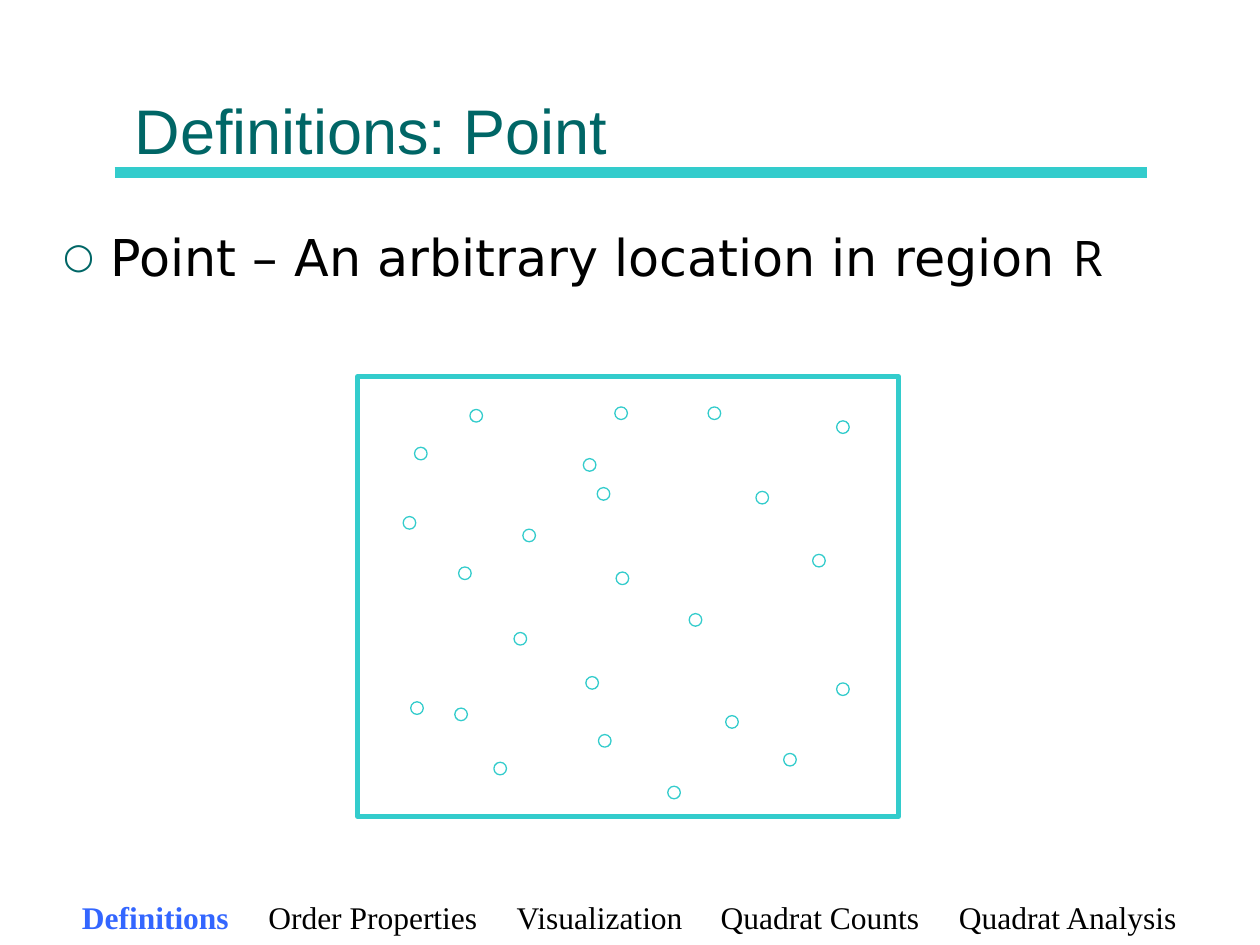
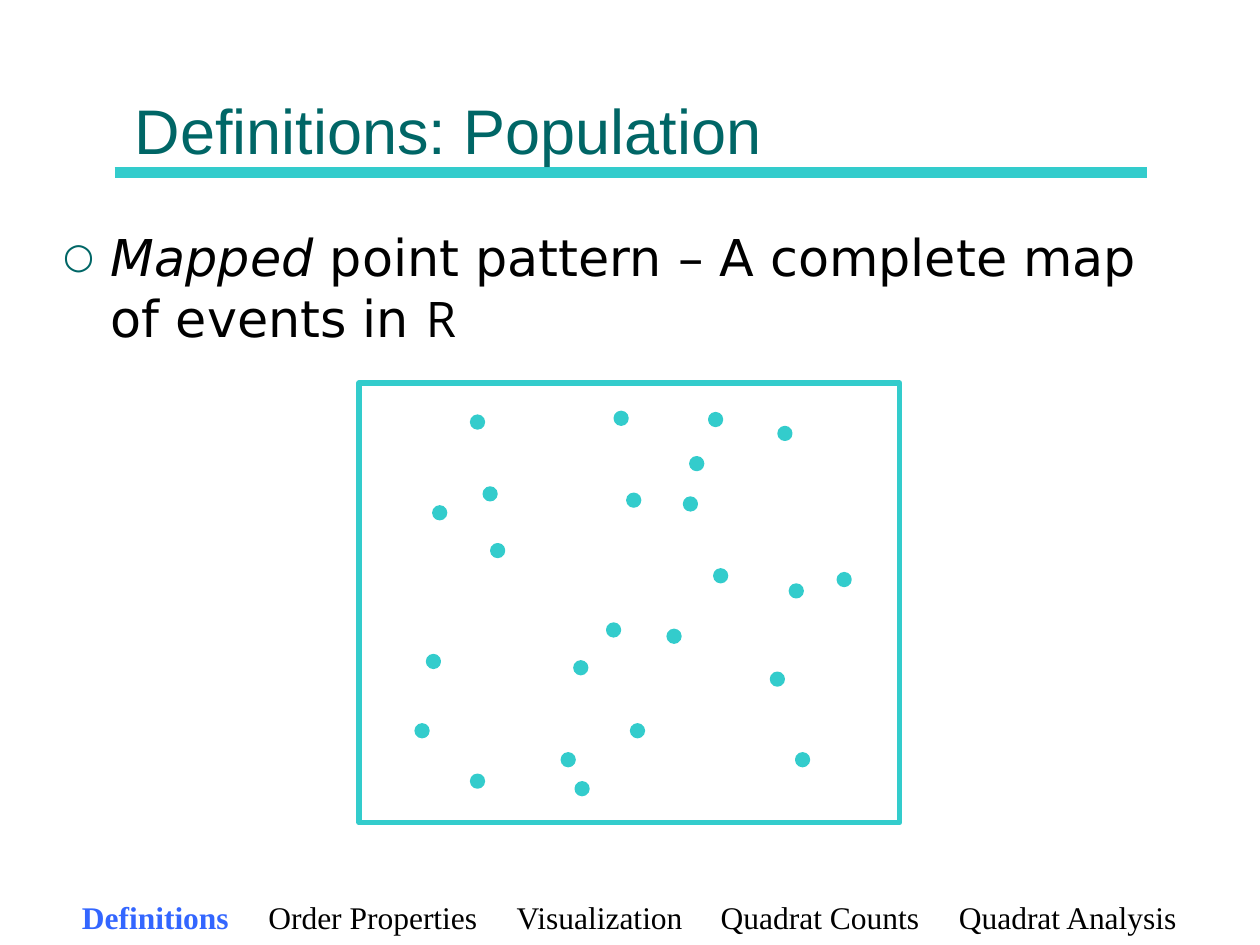
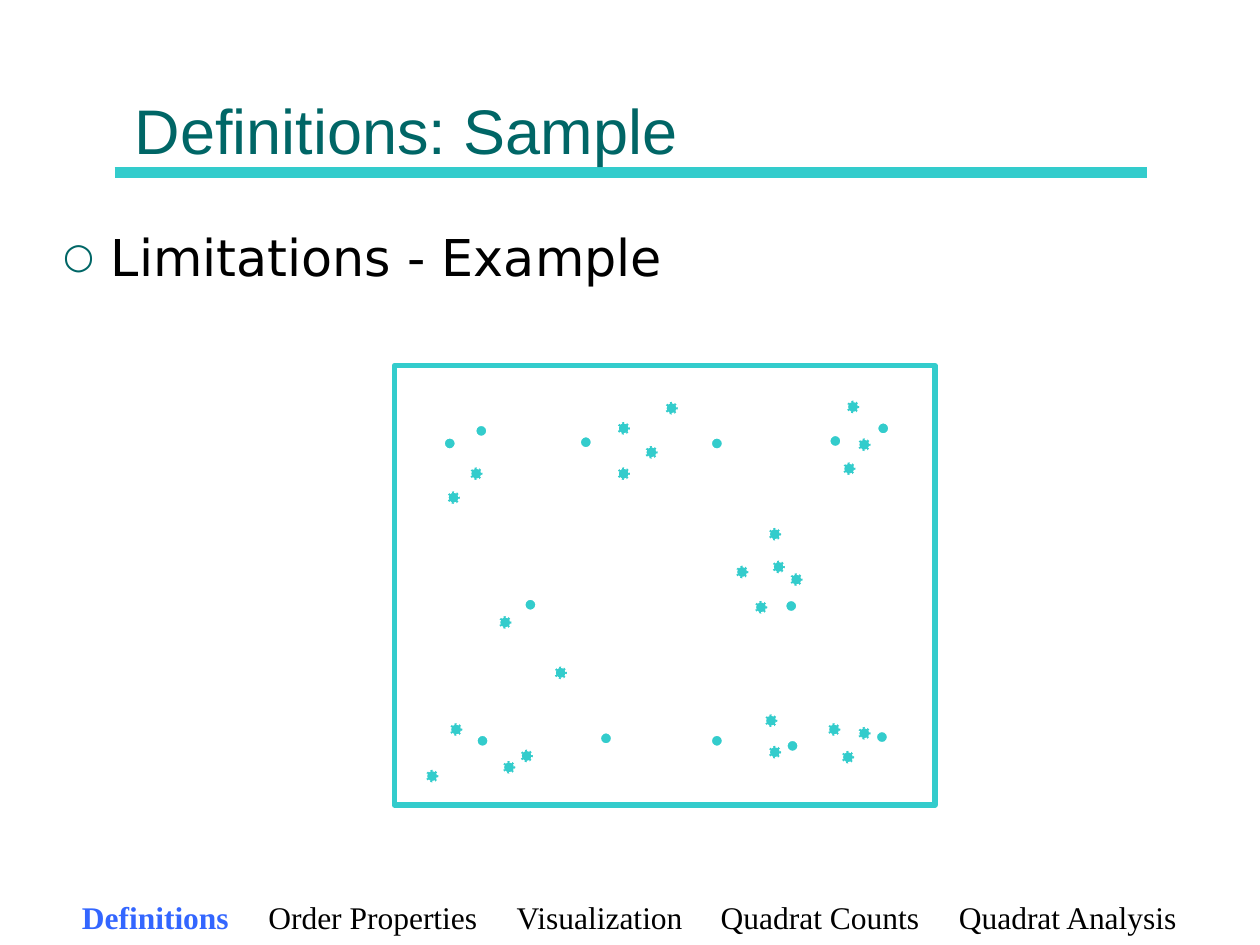
from dataclasses import dataclass

from lxml import etree
from pptx import Presentation
from pptx.dml.color import RGBColor
from pptx.enum.dml import MSO_LINE
from pptx.enum.shapes import MSO_CONNECTOR, MSO_SHAPE
from pptx.enum.text import MSO_ANCHOR, MSO_AUTO_SIZE, PP_ALIGN
from pptx.oxml.ns import qn
from pptx.util import Pt

PX = 9144  # 100 px to the inch
STRAIGHT = MSO_CONNECTOR.STRAIGHT
RECTANGLE, OVAL = MSO_SHAPE.RECTANGLE, MSO_SHAPE.OVAL
DOTTED = MSO_LINE.ROUND_DOT
TOP, BOTTOM = MSO_ANCHOR.TOP, MSO_ANCHOR.BOTTOM
LEFT = PP_ALIGN.LEFT
FIXED = MSO_AUTO_SIZE.NONE


@dataclass(frozen=True)
class Theme:
    accent: str = "33CCCC"
    title: str = "006666"
    text: str = "000000"
    paper: str = "FFFFFF"
    current: str = "3366FF"
    title_font: str = "Arial"
    body_font: str = "DejaVu Sans"
    region_font: str = "Open Sans"
    footer_font: str = "Times New Roman"
    title_size: int = 36
    body_size: int = 29
    region_size: int = 28
    footer_size: int = 18
    bullet_percent: int = 70


THEME = Theme()

SLIDE_SIZE = (1000, 750)
TITLE_BOX = (100, 12, 800, 125)
BODY_BOX = (42, 171, 913, 450)
FOOTER_BOX = (40, 708, 919, 70)
RULE = (91, 137, 910, 137)
FRAME_SIZE = (429, 349)
MARK_SIZE = 10
BODY_INDENT = 38

SECTIONS = ["Definitions", "Order Properties", "Visualization", "Quadrat Counts", "Quadrat Analysis"]
SECTION_TABS = [148, 345, 507, 696]

REGION = ("R", {"font": THEME.region_font, "size": THEME.region_size})

OPEN_MARK = {"line": THEME.accent, "width": 0.75}
EVENT_MARK = {"fill": THEME.accent, "line": THEME.accent, "width": 1.5}
SAMPLED_MARK = {"fill": THEME.accent, "line": THEME.paper, "width": 1.5}
MISSED_MARK = {**SAMPLED_MARK, "dash": DOTTED}

# Mark positions are offsets from the corner of the frame.
LOCATIONS = [
    (190, 88), (204, 24), (89, 26), (380, 35), (179, 65), (181, 238), (338, 299), (316, 91),
    (131, 121), (45, 56), (205, 155), (36, 111), (246, 325), (278, 24), (124, 203), (292, 269),
    (263, 188), (191, 284), (380, 243), (361, 141), (80, 151), (108, 306), (77, 263), (42, 258),
]
EVENTS = [
    (172, 317), (203, 23), (89, 26), (380, 151), (161, 294), (333, 35), (105, 128), (171, 221),
    (258, 91), (54, 216), (99, 83), (45, 271), (245, 196), (278, 24), (213, 88), (59, 98),
    (263, 59), (342, 160), (347, 294), (216, 271), (89, 311), (197, 191), (327, 230), (282, 148),
]
SAMPLED = [
    (147, 56), (64, 47), (383, 45), (310, 186), (251, 57), (103, 185), (39, 57),
    (345, 55), (65, 293), (311, 297), (382, 290), (163, 291), (251, 293),
]
MISSED = [
    (314, 165), (60, 81), (271, 159), (177, 81), (83, 199), (300, 155), (215, 29), (177, 45),
    (42, 100), (199, 64), (359, 28), (286, 187), (127, 239), (297, 129), (356, 77), (368, 58),
    (86, 314), (44, 284), (100, 305), (25, 321), (297, 302), (344, 284), (294, 277), (355, 306),
    (368, 287),
]

SLIDES = [
    {
        "title": "Definitions: Point",
        "spans": [("Point – An arbitrary location in region ", {}), REGION],
        "corner": (284, 299),
        "marks": [(LOCATIONS, OPEN_MARK)],
    },
    {
        "title": "Definitions: Population",
        "spans": [("Mapped", {"italic": True}),
                  (" point pattern – A complete map of events in ", {}), REGION],
        "corner": (285, 304),
        "marks": [(EVENTS, EVENT_MARK)],
    },
    {
        "title": "Definitions: Sample",
        "spans": [("Limitations - Example", {})],
        "corner": (313, 290),
        "marks": [(SAMPLED, SAMPLED_MARK), (MISSED, MISSED_MARK)],
    },
]


def scaled(lengths):
    return [length * PX for length in lengths]


def colour(code):
    return RGBColor.from_string(code)


def add_span(para, text, *, font, size, color, bold=False, italic=False):
    span = para.add_run()
    span.text = text
    span.font.name = font
    span.font.size = Pt(size)
    span.font.color.rgb = colour(color)
    span.font.bold = bold
    span.font.italic = italic


def open_text(shape, insets, anchor):
    """Prepare the text frame of a shape and return its first paragraph."""
    frame = shape.text_frame
    frame.word_wrap = True
    frame.auto_size = FIXED
    frame.vertical_anchor = anchor
    (frame.margin_left, frame.margin_top,
     frame.margin_right, frame.margin_bottom) = scaled(insets)
    para = frame.paragraphs[0]
    para.alignment = LEFT
    para.space_before = Pt(0)
    return para


def place(shape, box):
    shape.left, shape.top, shape.width, shape.height = scaled(box)


def add_property(parent, tag, **attributes):
    return etree.SubElement(parent, qn(tag), attributes)


def add_bullet(para):
    properties = para._p.get_or_add_pPr()
    properties.set("marL", str(BODY_INDENT * PX))
    properties.set("indent", str(-BODY_INDENT * PX))
    add_property(add_property(properties, "a:buClr"), "a:srgbClr", val=THEME.title)
    add_property(properties, "a:buSzPct", val=str(THEME.bullet_percent * 1000))
    add_property(properties, "a:buFont", typeface=THEME.body_font)
    add_property(properties, "a:buChar", char="○")


def add_tabs(para, stops):
    tabs = add_property(para._p.get_or_add_pPr(), "a:tabLst")
    for stop in scaled(stops):
        add_property(tabs, "a:tab", pos=str(stop), algn="l")


def add_title(page, box, text):
    title = page.shapes.title
    place(title, box)
    para = open_text(title, (7, 4, 7, 4), BOTTOM)
    add_span(para, text, font=THEME.title_font, size=THEME.title_size, color=THEME.title)


def add_body(page, box, spans):
    body = page.placeholders[1]
    place(body, box)
    para = open_text(body, (8, 8, 8, 4), TOP)
    add_bullet(para)
    base = {"font": THEME.body_font, "size": THEME.body_size, "color": THEME.text}
    for text, changes in spans:
        add_span(para, text, **{**base, **changes})


def add_footer(page, box, current):
    footer = page.shapes.add_textbox(*scaled(box))
    para = open_text(footer, (25, 5, 10, 5), TOP)
    add_tabs(para, SECTION_TABS)
    for index, section in enumerate(SECTIONS):
        active = section == current
        add_span(para, section if index == 0 else "\t" + section,
                 font=THEME.footer_font, size=THEME.footer_size, bold=active,
                 color=THEME.current if active else THEME.text)


def add_outlined(page, kind, box, *, line, width, fill=None, dash=None):
    shape = page.shapes.add_shape(kind, *scaled(box))
    shape.shadow.inherit = False
    if fill:
        shape.fill.solid()
        shape.fill.fore_color.rgb = colour(fill)
    else:
        shape.fill.background()
    shape.line.color.rgb = colour(line)
    shape.line.width = Pt(width)
    if dash:
        shape.line.dash_style = dash


def add_region(page, box, groups):
    """Draw the frame of region R and the marks inside it."""
    left, top = box[:2]
    add_outlined(page, RECTANGLE, box, line=THEME.accent, width=3)
    for offsets, style in groups:
        for across, down in offsets:
            mark_box = (left + across, top + down, MARK_SIZE, MARK_SIZE)
            add_outlined(page, OVAL, mark_box, **style)


def add_master_rule(deck, page):
    """Draw the title rule on a page and move it to the slide master."""
    rule = page.shapes.add_connector(STRAIGHT, *scaled(RULE))
    rule.line.color.rgb = colour(THEME.accent)
    rule.line.width = Pt(6)
    add_property(rule.element.spPr, "a:effectLst")
    deck.slide_master.shapes.element.append(rule.element)


def add_page(deck, title, spans, corner, marks):
    page = deck.slides.add_slide(deck.slide_layouts[1])
    add_title(page, TITLE_BOX, title)
    add_body(page, BODY_BOX, spans)
    add_region(page, corner + FRAME_SIZE, marks)
    add_footer(page, FOOTER_BOX, SECTIONS[0])
    return page


def main():
    deck = Presentation()
    deck.slide_width, deck.slide_height = scaled(SLIDE_SIZE)
    pages = [add_page(deck, **content) for content in SLIDES]
    add_master_rule(deck, pages[0])
    deck.save("out.pptx")


if __name__ == "__main__":
    main()
